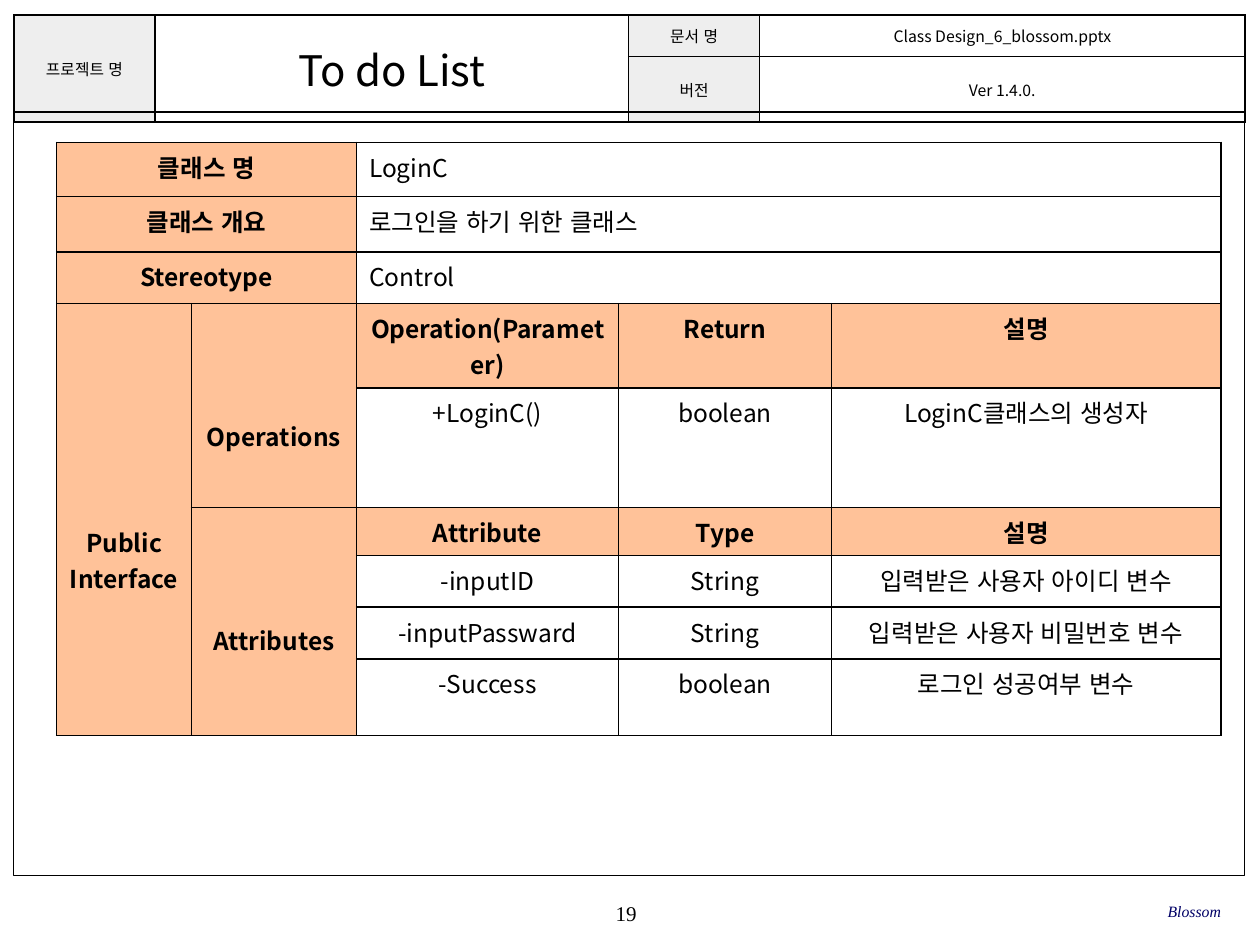
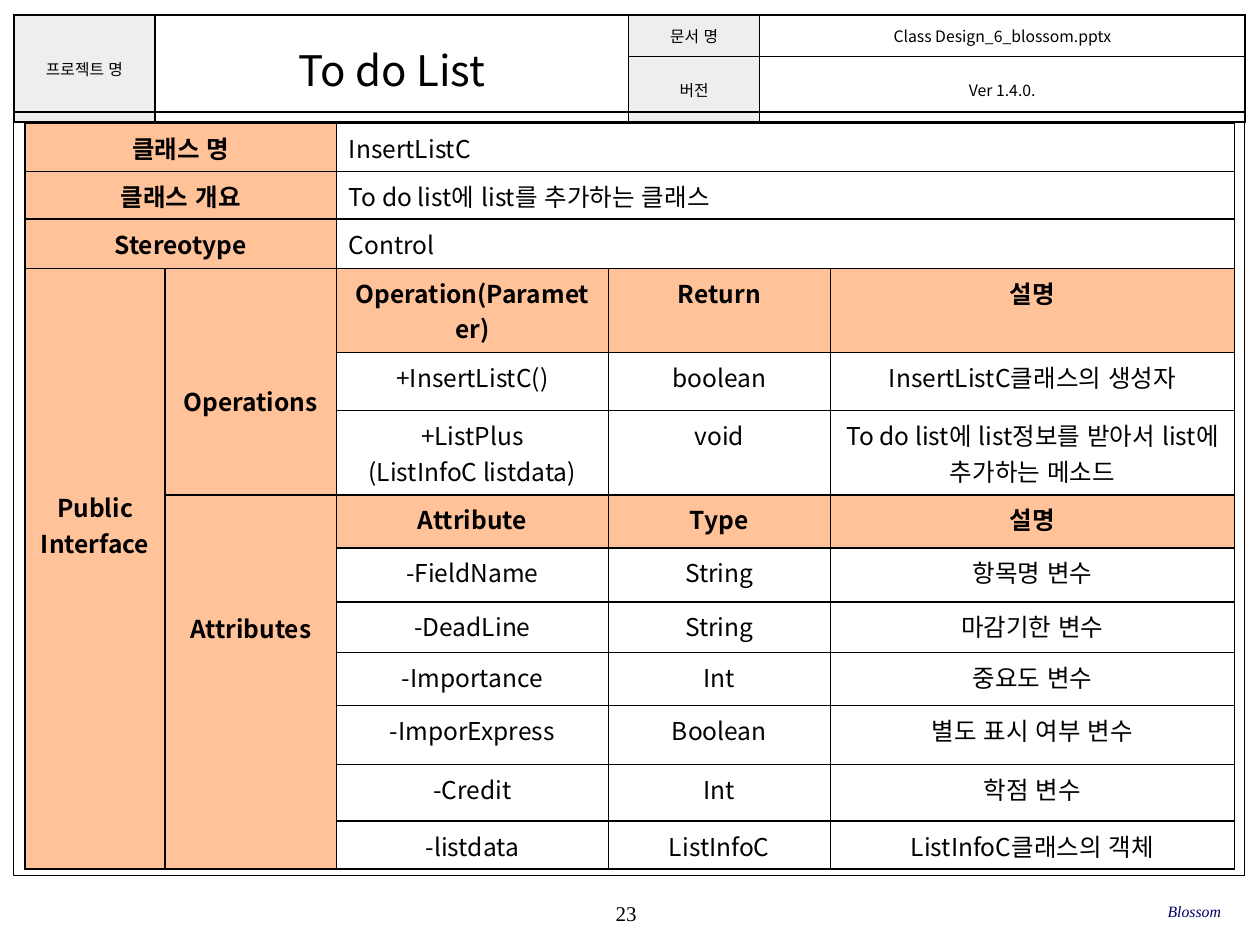
"""Build two class design sheets with a shared document header and footer."""
from lxml import etree
from pptx import Presentation
from pptx import util as u
from pptx.dml import color
from pptx.enum import lang, shapes, text
from pptx.oxml import ns

COLORS = {"ink": "000000", "paper": "FFFFFF", "label": "FFC299",
          "band": "EEEEEE", "footer": "000066"}
SANS, SERIF = "Noto Sans CJK KR", "Times New Roman"
LEFT, CENTER, RIGHT = text.PP_ALIGN.LEFT, text.PP_ALIGN.CENTER, text.PP_ALIGN.RIGHT
LINE_HEIGHT = 0.28

BODY = {"name": SANS, "size": u.Pt(14), "bold": False,
        "language_id": lang.MSO_LANGUAGE_ID.KOREAN}
LABEL = {**BODY, "bold": True}
HEADER = {**BODY, "size": u.Pt(9)}
TITLE = {**BODY, "size": u.Pt(24)}
PAGE_NUMBER = {"name": SERIF, "size": u.Pt(12)}
FOOTER = {"name": SERIF, "size": u.Pt(9), "italic": True}
HEADER_CELL = {"margin_left": u.Inches(0.04), "margin_right": u.Inches(0.04),
               "margin_top": u.Inches(0.02), "margin_bottom": u.Inches(0.02),
               "vertical_anchor": text.MSO_ANCHOR.MIDDLE}

SUMMARY_LABELS = ["클래스 명", "클래스 개요", "Stereotype"]
OPERATION_HEADINGS = ["Operation(Parameter)", "Return", "설명"]
ATTRIBUTE_HEADINGS = ["Attribute", "Type", "설명"]

SHEETS = [
    {
        "page": 19, "left": 0.45, "top": 1.13,
        "widths": [1.07, 1.31, 2.08, 1.69, 3.09],
        "heights": [0.43, 0.44, 0.41, 0.67, 0.95, 0.38, 0.41, 0.41, 0.61],
        "summary": ["LoginC", "로그인을 하기 위한 클래스", "Control"],
        "operations": [["+LoginC()", "boolean", "LoginC클래스의 생성자"]],
        "attributes": [
            ["-inputID", "String", "입력받은 사용자 아이디 변수"],
            ["-inputPassward", "String", "입력받은 사용자 비밀번호 변수"],
            ["-Success", "boolean", "로그인 성공여부 변수"],
        ],
    },
    {
        "page": 23, "left": 0.2, "top": 0.98,
        "widths": [1.11, 1.36, 2.16, 1.76, 3.21],
        "heights": [0.38, 0.38, 0.39, 0.67, 0.46, 0.67, 0.42,
                    0.43, 0.4, 0.42, 0.47, 0.45, 0.38],
        "summary": ["InsertListC", "To do list에 list를 추가하는 클래스", "Control"],
        "operations": [
            ["+InsertListC()", "boolean", "InsertListC클래스의 생성자"],
            ["+ListPlus\n(ListInfoC listdata)", "void",
             "To do list에 list정보를 받아서 list에 추가하는 메소드"],
        ],
        "attributes": [
            ["-FieldName", "String", "항목명 변수"],
            ["-DeadLine", "String", "마감기한 변수"],
            ["-Importance", "Int", "중요도 변수"],
            ["-ImporExpress", "Boolean", "별도 표시 여부 변수"],
            ["-Credit", "Int", "학점 변수"],
            ["-listdata", "ListInfoC", "ListInfoC클래스의 객체"],
        ],
    },
]


def rgb(name):
    """Return the named colour."""
    return color.RGBColor.from_string(COLORS[name])


def apply_format(target, values):
    """Set every attribute in values on target."""
    for name, value in values.items():
        setattr(target, name, value)


def write(frame, content, font, alignment=CENTER, ink="ink"):
    """Fill a text frame with one paragraph per line of content."""
    frame.text = content
    for paragraph in frame.paragraphs:
        paragraph.alignment = alignment
        for run in paragraph.runs:
            apply_format(run.font, font)
            run.font.color.rgb = rgb(ink)
            properties = run._r.get_or_add_rPr()
            etree.SubElement(properties, ns.qn("a:ea"), typeface=font["name"])


def add_label(slide, box, content, font, alignment, ink="ink"):
    """Add a text box without margins, centred vertically."""
    frame = slide.shapes.add_textbox(*map(u.Inches, box)).text_frame
    apply_format(frame, {
        "word_wrap": True, "vertical_anchor": text.MSO_ANCHOR.MIDDLE,
        "margin_left": 0, "margin_right": 0, "margin_top": 0, "margin_bottom": 0})
    write(frame, content, font, alignment, ink)


def add_frame(slide):
    """Add the outline around the page body."""
    shape = slide.shapes.add_shape(
        shapes.MSO_SHAPE.RECTANGLE, *map(u.Inches, (0.11, 0.89, 9.77, 6.06)))
    shape.shadow.inherit = False
    shape.fill.background()
    shape.line.color.rgb = rgb("ink")
    shape.line.width = u.Pt(0.75)


def add_borders(cell):
    """Draw a thin line on all four sides of a cell."""
    properties = cell._tc.get_or_add_tcPr()
    for side in ("lnL", "lnR", "lnT", "lnB"):
        line = etree.SubElement(properties, ns.qn(f"a:{side}"), w=str(u.Pt(1)))
        fill = etree.SubElement(line, ns.qn("a:solidFill"))
        etree.SubElement(fill, ns.qn("a:srgbClr"), val=COLORS["ink"])


def add_grid(slide, left, top, widths, heights):
    """Add an unstyled table with bordered cells."""
    box = (left, top, sum(widths), sum(heights))
    table = slide.shapes.add_table(
        len(heights), len(widths), *map(u.Inches, box)).table
    apply_format(table, {"first_row": False, "horz_banding": False})
    for column, width in zip(table.columns, widths):
        column.width = u.Inches(width)
    for row, height in zip(table.rows, heights):
        row.height = u.Inches(height)
    for cell in table.iter_cells():
        add_borders(cell)
        cell.fill.background()
    return table


def paint(cell, fill):
    """Give a cell a solid fill."""
    cell.fill.solid()
    cell.fill.fore_color.rgb = rgb(fill)


def add_header(slide):
    """Add the document header table."""
    table = add_grid(slide, 0.11, 0.12, [1.12, 3.76, 1.04, 3.85], [0.33, 0.52])
    for cell in table.iter_cells():
        apply_format(cell, HEADER_CELL)
    for row in range(2):
        for column in (0, 2):
            paint(table.cell(row, column), "band")
    for column in (0, 1):
        table.cell(0, column).merge(table.cell(1, column))
    entries = [(0, 0, "프로젝트 명", HEADER), (0, 1, "To do List", TITLE),
               (0, 2, "문서 명", HEADER), (0, 3, "Class Design_6_blossom.pptx", HEADER),
               (1, 2, "버전", HEADER), (1, 3, "Ver 1.4.0.", HEADER)]
    for row, column, content, font in entries:
        write(table.cell(row, column).text_frame, content, font)


def add_side_label(table, column, first, last, content, lines_down):
    """Merge rows of a column into one label set some lines below the top."""
    cell = table.cell(first, column)
    cell.merge(table.cell(last, column))
    cell.margin_top = u.Inches(0.07 + lines_down * LINE_HEIGHT)
    write(cell.text_frame, content, LABEL)


def add_members(table, first, headings, members):
    """Fill a heading row and the member rows under it."""
    for row, contents in enumerate([headings] + members, first):
        heading = row == first
        for column, content in enumerate(contents, 2):
            cell = table.cell(row, column)
            paint(cell, "label" if heading else "paper")
            write(cell.text_frame, content, LABEL if heading else BODY)


def add_class_table(slide, sheet):
    """Add the table that describes one class."""
    table = add_grid(slide, sheet["left"], sheet["top"],
                     sheet["widths"], sheet["heights"])
    last = len(sheet["heights"]) - 1
    for row in range(last + 1):
        for column in range(5):
            paint(table.cell(row, column), "label" if column < 2 else "paper")
    for row, (label, value) in enumerate(zip(SUMMARY_LABELS, sheet["summary"])):
        table.cell(row, 0).merge(table.cell(row, 1))
        table.cell(row, 2).merge(table.cell(row, 4))
        write(table.cell(row, 0).text_frame, label, LABEL)
        write(table.cell(row, 2).text_frame, value, BODY, LEFT)
    operations = len(SUMMARY_LABELS)
    attributes = operations + 1 + len(sheet["operations"])
    add_side_label(table, 0, operations, last, "Public\nInterface", 6)
    add_side_label(table, 1, operations, attributes - 1, "Operations", 3)
    add_side_label(table, 1, attributes, last, "Attributes", 3)
    add_members(table, operations, OPERATION_HEADINGS, sheet["operations"])
    add_members(table, attributes, ATTRIBUTE_HEADINGS, sheet["attributes"])


def add_sheet(presentation, sheet):
    """Add one slide with its header, frame, footer and class table."""
    slide = presentation.slides.add_slide(presentation.slide_layouts[6])
    add_label(slide, (3.93, 7.08, 2.08, 0.33), str(sheet["page"]), PAGE_NUMBER, CENTER)
    add_header(slide)
    add_frame(slide)
    add_label(slide, (6.63, 7.07, 3.06, 0.33), "Blossom", FOOTER, RIGHT, "footer")
    add_class_table(slide, sheet)


def main():
    """Build and save the presentation."""
    presentation = Presentation()
    presentation.slide_width = u.Inches(10)
    presentation.slide_height = u.Inches(7.5)
    for sheet in SHEETS:
        add_sheet(presentation, sheet)
    presentation.save("out.pptx")


if __name__ == "__main__":
    main()
